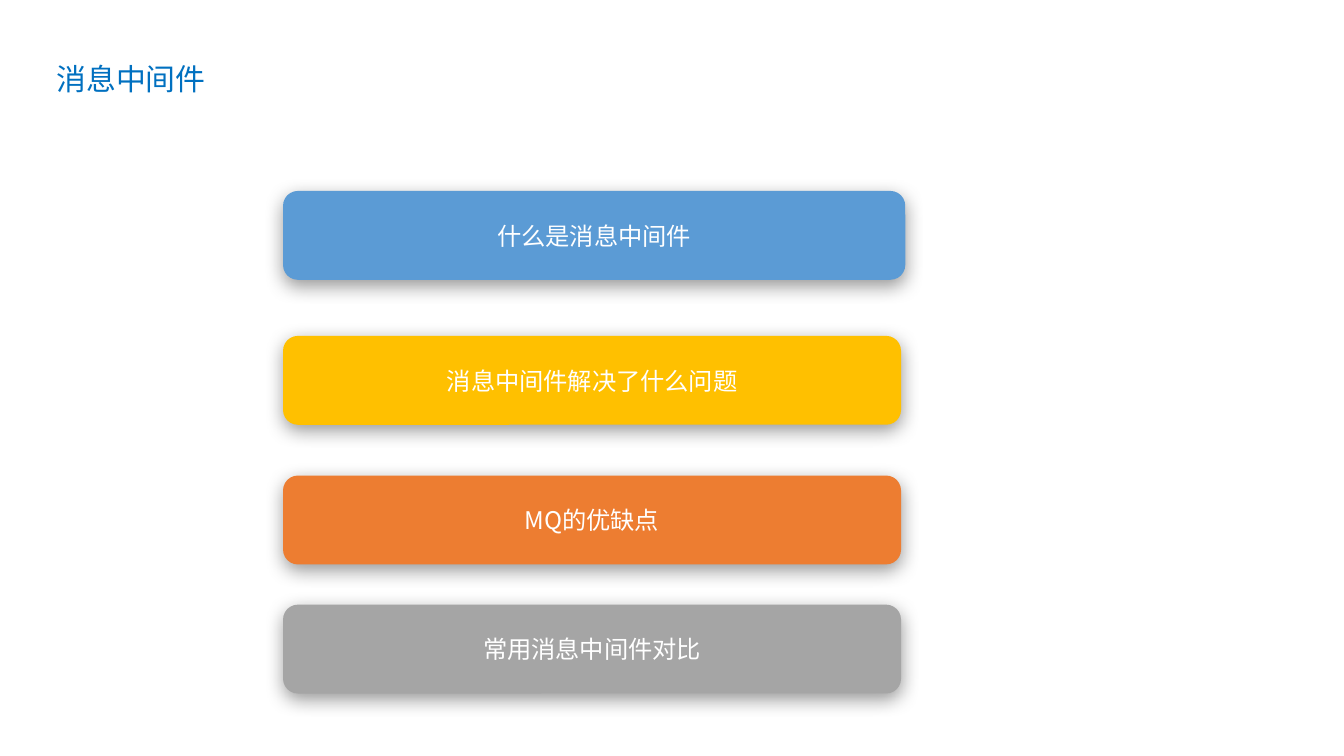
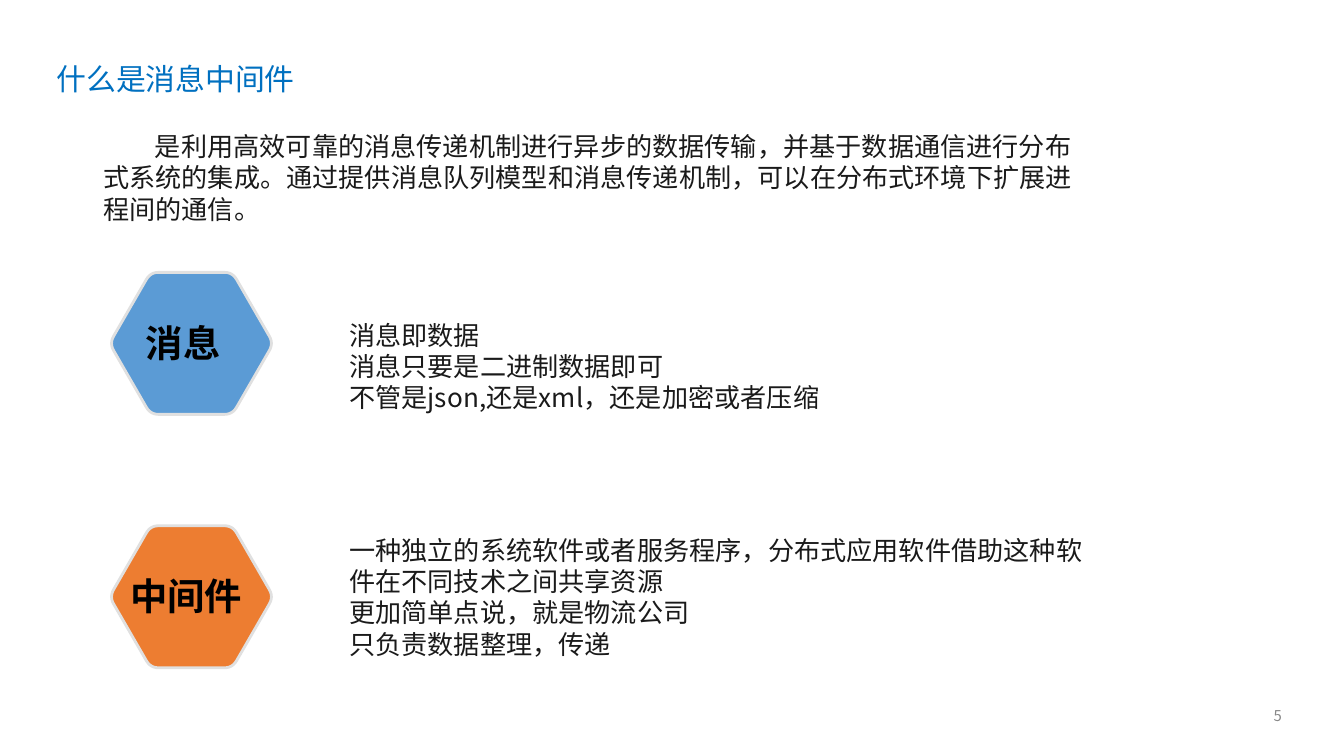
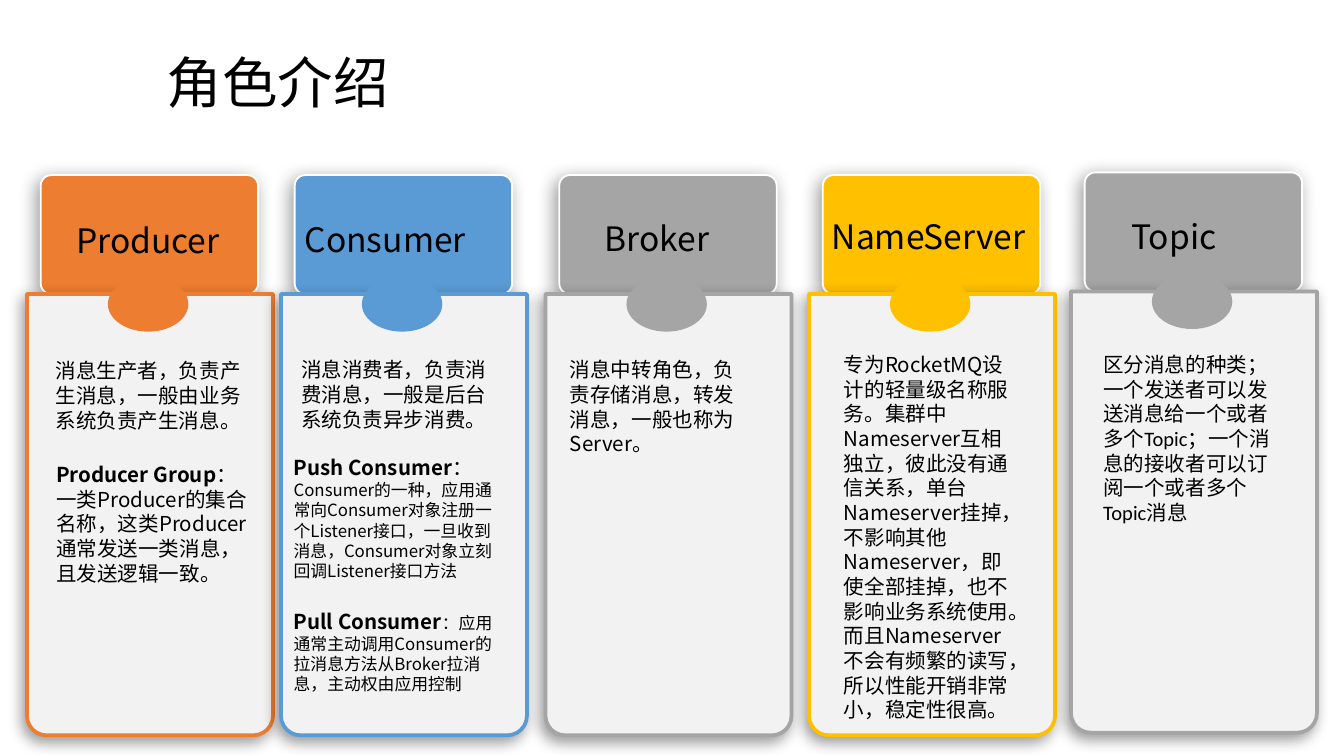
from dataclasses import dataclass
from math import cos, radians, sin

from lxml.etree import SubElement
from pptx import Presentation
from pptx.dml.color import RGBColor
from pptx.enum.shapes import MSO_SHAPE
from pptx.enum.text import MSO_ANCHOR, MSO_AUTO_SIZE, PP_ALIGN
from pptx.oxml.ns import qn
from pptx.util import Cm, Pt


@dataclass(frozen=True)
class Theme:
    blue: str = "5B9BD5"
    gold: str = "FFC000"
    orange: str = "ED7D31"
    gray: str = "A5A5A5"
    title: str = "0070C0"
    ink: str = "1A1A1A"
    black: str = "000000"
    white: str = "FFFFFF"
    panel: str = "F2F2F2"
    rim: str = "E0E0E0"
    page: str = "888888"
    font: str = "Noto Sans CJK SC"
    latin: str = "Calibri"
    title_size: float = 16
    role_title_size: float = 29.7
    button_size: float = 13
    body_size: float = 14
    term_size: float = 20
    role_size: float = 18
    note_size: float = 11
    detail_size: float = 9
    page_size: float = 8


T = Theme()

AGENDA_TITLE = "消息中间件"
AGENDA = [
    ("什么是消息中间件", T.blue, 3.61, 11.76),
    ("消息中间件解决了什么问题", T.gold, 6.35, 11.68),
    ("MQ的优缺点", T.orange, 8.99, 11.68),
    ("常用消息中间件对比", T.gray, 11.43, 11.68),
]

DEFINITION_TITLE = "什么是消息中间件"
DEFINITION = (
    "是利用高效可靠的消息传递机制进行异步的数据传输，并基于数据通信进行分布式系统的集成。"
    "通过提供消息队列模型和消息传递机制，可以在分布式环境下扩展进程间的通信。"
)
DEFINITION_PAGE = "5"
TERMS = [
    {
        "term": "消息", "color": T.blue, "center": 6.49, "term_box": (2.51, 2.18),
        "box": (6.35, 5.89, 12.4, 2.06),
        "lines": ["消息即数据", "消息只要是二进制数据即可", "不管是json,还是xml，还是加密或者压缩"],
    },
    {
        "term": "中间件", "color": T.orange, "center": 11.28, "term_box": (2.21, 2.79),
        "box": (6.35, 9.96, 14.4, 2.64),
        "lines": [
            "一种独立的系统软件或者服务程序，分布式应用软件借助这种软件在不同技术之间共享资源",
            "更加简单点说，就是物流公司",
            "只负责数据整理，传递",
        ],
    },
]

ROLES_TITLE = "角色介绍"
NOTE = {"size": T.note_size}
LEAD = {"size": T.note_size, "bold": True}
DETAIL = {"size": T.detail_size}
ROLES = [
    {
        "name": "Producer", "color": T.orange, "left": 0.51, "top": 5.56,
        "name_box": (1.19, 4.04, 3.28, 1.02),
        "notes": [
            ((0.8, 6.65, 4.22, 1.6), [("消息生产者，负责产生消息，一般由业务系统负责产生消息。", NOTE)]),
            ((0.81, 8.61, 4.11, 2.62), [
                ("Producer Group", LEAD),
                ("：一类Producer的集合名称，这类Producer通常发送一类消息，且发送逻辑一致。", NOTE),
            ]),
        ],
    },
    {
        "name": "Consumer", "color": T.blue, "left": 5.31, "top": 5.56,
        "name_box": (5.51, 4.01, 3.66, 1.02),
        "notes": [
            ((5.44, 6.63, 4.11, 1.68), [("消息消费者，负责消费消息，一般是后台系统负责异步消费。", NOTE)]),
            ((5.3, 8.48, 4.4, 2.64), [
                ("Push Consumer", LEAD),
                ("：", NOTE),
                ("Consumer的一种，应用通常向Consumer对象注册一个Listener接口，"
                 "一旦收到消息，Consumer对象立刻回调Listener接口方法", DETAIL),
            ]),
            ((5.3, 11.38, 4.29, 2.64), [
                ("Pull Consumer", LEAD),
                ("：应用通常主动调用Consumer的拉消息方法从Broker拉消息，主动权由应用控制", DETAIL),
            ]),
        ],
    },
    {
        "name": "Broker", "color": T.gray, "left": 10.31, "top": 5.56,
        "name_box": (11.18, 3.99, 2.51, 1.02),
        "notes": [
            ((10.52, 6.63, 3.96, 2.13), [("消息中转角色，负责存储消息，转发消息，一般也称为Server。", NOTE)]),
        ],
    },
    {
        "name": "NameServer", "color": T.gold, "left": 15.29, "top": 5.56,
        "name_box": (15.47, 3.96, 4.32, 1.8),
        "notes": [
            ((15.7, 6.53, 3.84, 6.83), [
                ("专为RocketMQ设计的轻量级名称服务。集群中Nameserver互相独立，彼此没有通信关系，"
                 "单台Nameserver挂掉，不影响其他Nameserver，即使全部挂掉，也不影响业务系统使用。"
                 "而且Nameserver不会有频繁的读写，所以性能开销非常小，稳定性很高。", NOTE),
            ]),
        ],
    },
    {
        "name": "Topic", "color": T.gray, "left": 20.24, "top": 5.51,
        "name_box": (21.13, 3.96, 2.11, 1.02),
        "notes": [
            ((20.6, 6.53, 3.96, 3.56), [
                ("区分消息的种类；一个发送者可以发送消息给一个或者多个Topic；"
                 "一个消息的接收者可以订阅一个或者多个Topic消息", {**NOTE, "latin": T.latin}),
            ]),
        ],
    },
]


def rgb(color):
    return RGBColor.from_string(color)


def style_run(run, size, color=T.black, bold=False, latin=T.font):
    run.font.size = Pt(size)
    run.font.bold = bold
    run.font.color.rgb = rgb(color)
    run.font.name = latin
    east_asian = SubElement(run.font._element, qn("a:ea"))
    east_asian.set("typeface", T.font)
    run.font._element.find(qn("a:latin")).addnext(east_asian)


def style_frame(frame, align=PP_ALIGN.LEFT, **style):
    for paragraph in frame.paragraphs:
        paragraph.alignment = align
        for run in paragraph.runs:
            style_run(run, **style)


def set_insets(frame, inset):
    frame.margin_left = frame.margin_right = Cm(inset)
    frame.margin_top = frame.margin_bottom = Cm(inset)


def add_frame(slide, box, wrap=True, anchor=MSO_ANCHOR.TOP):
    frame = slide.shapes.add_textbox(*map(Cm, box)).text_frame
    frame.word_wrap = wrap
    frame.vertical_anchor = anchor
    return frame


def add_text(slide, box, text, wrap=True, anchor=MSO_ANCHOR.TOP, **style):
    frame = add_frame(slide, box, wrap, anchor)
    frame.text = text
    style_frame(frame, **style)
    return frame


def paint(shape, fill, line=None, width=1):
    shape.shadow.inherit = False
    shape.fill.solid()
    shape.fill.fore_color.rgb = rgb(fill)
    if line:
        shape.line.color.rgb = rgb(line)
        shape.line.width = Pt(width)
    else:
        shape.line.fill.background()


def cast_shadow(shape, angle, blur=10):
    effects = shape._element.spPr.find(qn("a:effectLst"))
    shadow = SubElement(effects, qn("a:outerShdw"), blurRad=str(Pt(blur)), dist=str(Pt(3)),
                        dir=str(angle * 60000), algn="ctr", rotWithShape="0")
    tint = SubElement(shadow, qn("a:srgbClr"), val=T.black)
    SubElement(tint, qn("a:alpha"), val="40000")


def add_titled_slide(deck, title, box, size=T.title_size, color=T.title,
                     inset=0, anchor=MSO_ANCHOR.TOP):
    slide = deck.slides.add_slide(deck.slide_layouts.get_by_name("Title Only"))
    heading = slide.shapes.title
    heading.left, heading.top, heading.width, heading.height = map(Cm, box)
    frame = heading.text_frame
    frame.text = title
    frame.auto_size = MSO_AUTO_SIZE.NONE
    frame.word_wrap = True
    frame.vertical_anchor = anchor
    if inset is not None:
        set_insets(frame, inset)
    style_frame(frame, size=size, color=color)
    return slide


def add_hexagon(slide, center_x, center_y, radius, color):
    corners = [(center_x + radius * cos(radians(a)), center_y + radius * sin(radians(a)))
               for a in range(0, 360, 60)]
    cut, steps = 0.1, 6
    outline = []
    for i, corner in enumerate(corners):
        before, after = corners[i - 1], corners[(i + 1) % len(corners)]
        for step in range(steps + 1):
            t = step / steps
            outline.append(tuple(
                c + cut * ((1 - t) ** 2 * (b - c) + t ** 2 * (a - c))
                for b, c, a in zip(before, corner, after)
            ))
    points = [(Cm(x), Cm(y)) for x, y in outline]
    builder = slide.shapes.build_freeform(*points[0])
    builder.add_line_segments(points[1:], close=True)
    paint(builder.convert_to_shape(), color, T.rim, 1.5)


def build_agenda(deck, title_box):
    slide = add_titled_slide(deck, AGENDA_TITLE, title_box)
    for topic, color, top, width in AGENDA:
        button = slide.shapes.add_shape(MSO_SHAPE.ROUNDED_RECTANGLE,
                                        Cm(5.35), Cm(top), Cm(width), Cm(1.68))
        paint(button, color)
        cast_shadow(button, 90)
        button.text_frame.text = topic
        button.text_frame.vertical_anchor = MSO_ANCHOR.MIDDLE
        style_frame(button.text_frame, PP_ALIGN.CENTER, size=T.button_size, color=T.white)


def build_definition(deck, title_box):
    slide = add_titled_slide(deck, DEFINITION_TITLE, title_box)
    body = {"size": T.body_size, "color": T.ink}
    definition = add_text(slide, (1.7, 2.34, 19, 2.06), DEFINITION, **body)
    definition.paragraphs[0]._p.get_or_add_pPr().set("indent", str(Cm(0.98)))
    for entry in TERMS:
        add_hexagon(slide, 3.62, entry["center"], 1.55, entry["color"])
        left, width = entry["term_box"]
        add_text(slide, (left, entry["center"] - 0.57, width, 1.12), entry["term"],
                 size=T.term_size, bold=True)
        add_text(slide, entry["box"], "\n".join(entry["lines"]),
                 anchor=MSO_ANCHOR.MIDDLE, **body)
    page = add_text(slide, (23.83, 13.31, 0.48, 0.43), DEFINITION_PAGE, wrap=False,
                    anchor=MSO_ANCHOR.MIDDLE, align=PP_ALIGN.RIGHT,
                    size=T.page_size, color=T.page)
    set_insets(page, 0.08)


def add_card(slide, color, left, top):
    card = slide.shapes.add_group_shape().shapes
    tab = card.add_shape(MSO_SHAPE.ROUNDED_RECTANGLE,
                         Cm(left + 0.26), Cm(top - 2.25), Cm(4.11), Cm(2.25))
    tab.adjustments[0] = 0.09
    paint(tab, color, T.white, 1)
    cast_shadow(tab, 135)
    panel = card.add_shape(MSO_SHAPE.ROUND_2_SAME_RECTANGLE,
                           Cm(left), Cm(top), Cm(4.65), Cm(8.34))
    panel.adjustments[0] = 0
    panel.adjustments[1] = 0.08
    paint(panel, T.panel, color, 2)
    cast_shadow(panel, 135, 8)
    knob = card.add_shape(MSO_SHAPE.OVAL, Cm(left + 1.53), Cm(top - 0.33), Cm(1.52), Cm(1.04))
    paint(knob, color)


def build_roles(deck):
    slide = add_titled_slide(deck, ROLES_TITLE, (2.9, 1.17, 16.31, 0.91), T.role_title_size,
                             T.black, None, MSO_ANCHOR.MIDDLE)
    slide.shapes.title.text_frame.paragraphs[0].line_spacing = 0.9
    for role in ROLES:
        add_card(slide, role["color"], role["left"], role["top"])
        add_text(slide, role["name_box"], role["name"], wrap=False, size=T.role_size)
        for box, pieces in role["notes"]:
            paragraph = add_frame(slide, box).paragraphs[0]
            for text, style in pieces:
                run = paragraph.add_run()
                run.text = text
                style_run(run, **style)


def main():
    deck = Presentation()
    deck.slide_width, deck.slide_height = Cm(25.4), Cm(14.29)
    title_box = (1.07, 1.14, 11.4, 0.69)
    build_agenda(deck, title_box)
    build_definition(deck, title_box)
    build_roles(deck)
    deck.save("out.pptx")


if __name__ == "__main__":
    main()
